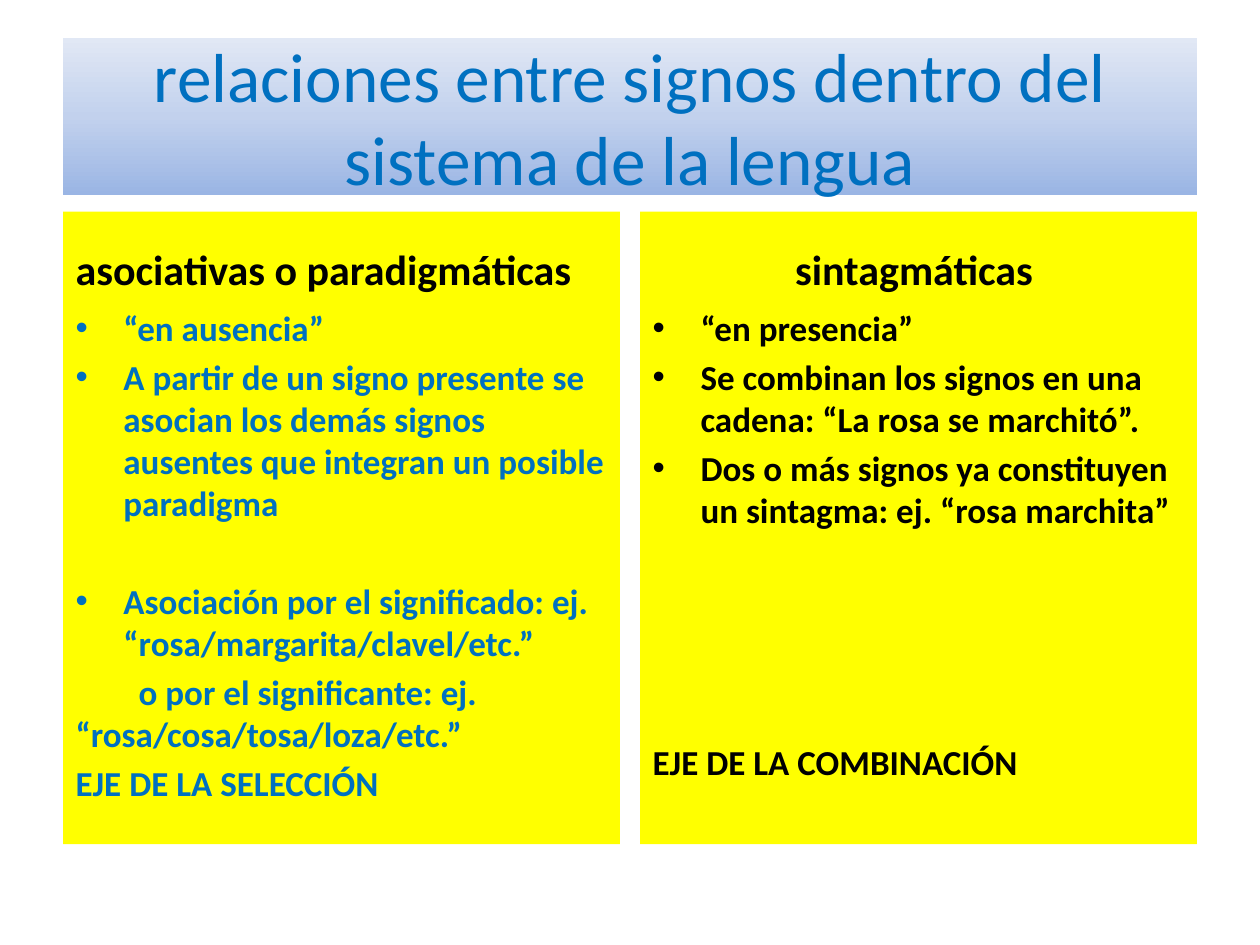
from copy import deepcopy

from pptx import Presentation, util as u
from pptx.dml.color import RGBColor
from pptx.enum import text
from pptx.oxml import ns
from lxml import etree

COLORS = {"blue": "0070C0", "black": "000000", "yellow": "FFFF00"}
GRADIENT = [(0, "9AB5E4"), (0.5, "C2D1ED"), (1, "E1E8F5")]
TITLE = "relaciones entre signos dentro del sistema de la lengua"
GAP = 4

# Paragraphs: text, bulleted, first-line indent in inches, space before in points
COLUMNS = [
    {
        "head": ("asociativas o paradigmáticas", False, 0, GAP),
        "color": "blue",
        "body": [
            ("“en ausencia”", True, 0, GAP),
            ("A partir de un signo presente se asocian los demás signos "
             "ausentes que integran un posible paradigma", True, 0, GAP),
            ("Asociación por el significado: ej. “rosa/margarita/clavel/etc.”",
             True, 0, 32),
            ("o por el significante: ej. “rosa/cosa/tosa/loza/etc.”",
             False, 0.5, GAP),
            ("EJE DE LA SELECCIÓN", False, 0, GAP),
        ],
    },
    {
        "head": ("sintagmáticas", False, 1.13, GAP),
        "color": "black",
        "body": [
            ("“en presencia”", True, 0, GAP),
            ("Se combinan los signos en una cadena: “La rosa se marchitó”.",
             True, 0, GAP),
            ("Dos o más signos ya constituyen un sintagma: ej. “rosa marchita”",
             True, 0, GAP),
            ("EJE DE LA COMBINACIÓN", False, 0, 120),
        ],
    },
]

SLIDE_W, SLIDE_H = 10, 7.5
MARGIN, GUTTER = 0.5, 0.16
COL_W = (SLIDE_W - 2 * MARGIN - GUTTER) / 2
HEAD_TOP, HEAD_H, BODY_H = 1.68, 0.7, 4.32
HANG = 0.38


def place(sp, left, top, width, height, anchor):
    sp.left, sp.top, sp.width, sp.height = map(
        u.Inches, (left, top, width, height))
    tf = sp.text_frame
    tf.word_wrap = True
    tf.auto_size = text.MSO_AUTO_SIZE.NONE
    tf.vertical_anchor = anchor
    return tf


def style(p, size, color, bold):
    for r in p.runs:
        r.font.name = "Calibri"
        r.font.size = u.Pt(size)
        r.font.bold = bold
        r.font.color.rgb = RGBColor.from_string(COLORS[color])


def set_indent(p, bulleted, first_line):
    pPr = p._p.get_or_add_pPr()
    pPr.set("marL", str(u.Inches(HANG if bulleted else 0)))
    pPr.set("indent", str(u.Inches(-HANG if bulleted else first_line)))
    if bulleted:
        etree.SubElement(pPr, ns.qn("a:buChar")).set("char", "•")
    else:
        etree.SubElement(pPr, ns.qn("a:buNone"))


def fill_text(sp, paragraphs, size, color):
    sp.fill.solid()
    sp.fill.fore_color.rgb = RGBColor.from_string(COLORS["yellow"])
    tf = sp.text_frame
    for i, (content, bulleted, first_line, before) in enumerate(paragraphs):
        p = tf.add_paragraph() if i else tf.paragraphs[0]
        p.text = content
        p.alignment = text.PP_ALIGN.LEFT
        p.space_before = u.Pt(before)
        set_indent(p, bulleted, first_line)
        style(p, size, color, True)


def fill_gradient(sp):
    sp.fill.gradient()
    sp.fill.gradient_angle = 90
    stops = sp._element.spPr.find(".//" + ns.qn("a:gsLst"))
    stops.insert(1, deepcopy(stops[0]))
    for stop, (position, color) in zip(sp.fill.gradient_stops, GRADIENT):
        stop.position = position
        stop.color.rgb = RGBColor.from_string(color)


prs = Presentation()
prs.slide_width, prs.slide_height = u.Inches(SLIDE_W), u.Inches(SLIDE_H)
s = prs.slides.add_slide(prs.slide_layouts.get_by_name("Comparison"))

title = s.shapes.title
tf = place(title, MARGIN, 0.3, SLIDE_W - 2 * MARGIN, 1.25,
           text.MSO_ANCHOR.MIDDLE)
tf.text = TITLE
tf.paragraphs[0].alignment = text.PP_ALIGN.CENTER
style(tf.paragraphs[0], 39.6, "blue", False)
fill_gradient(title)

holders = {sp.placeholder_format.idx: sp for sp in s.placeholders}
for i, column in enumerate(COLUMNS):
    left = MARGIN + i * (COL_W + GUTTER)
    head, body = holders[2 * i + 1], holders[2 * i + 2]
    place(head, left, HEAD_TOP, COL_W, HEAD_H, text.MSO_ANCHOR.BOTTOM)
    place(body, left, HEAD_TOP + HEAD_H, COL_W, BODY_H, text.MSO_ANCHOR.TOP)
    fill_text(head, [column["head"]], 24, "black")
    fill_text(body, column["body"], 20, column["color"])

for idx, sp in holders.items():
    if idx >= 10:
        sp._element.getparent().remove(sp._element)

prs.save("out.pptx")
